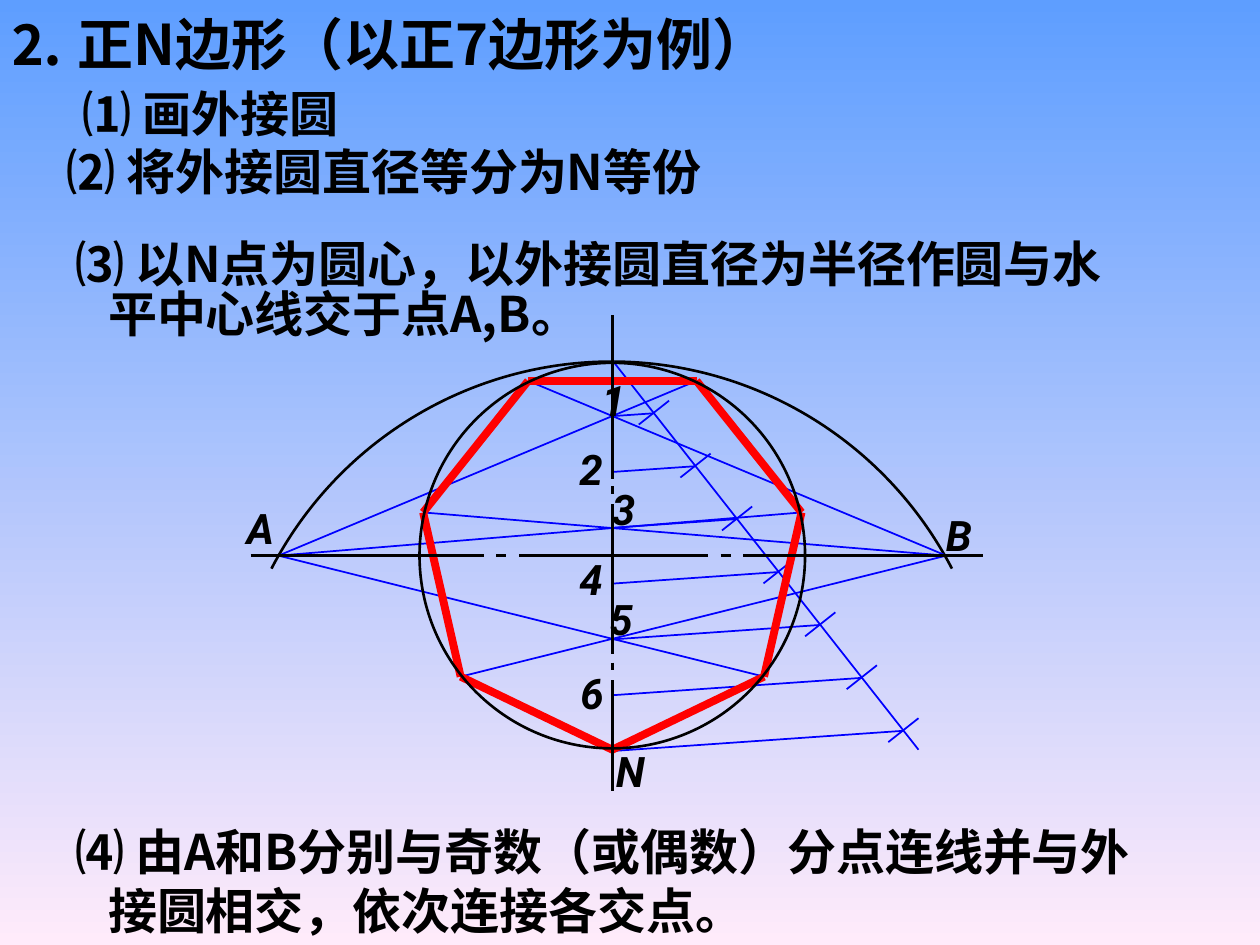
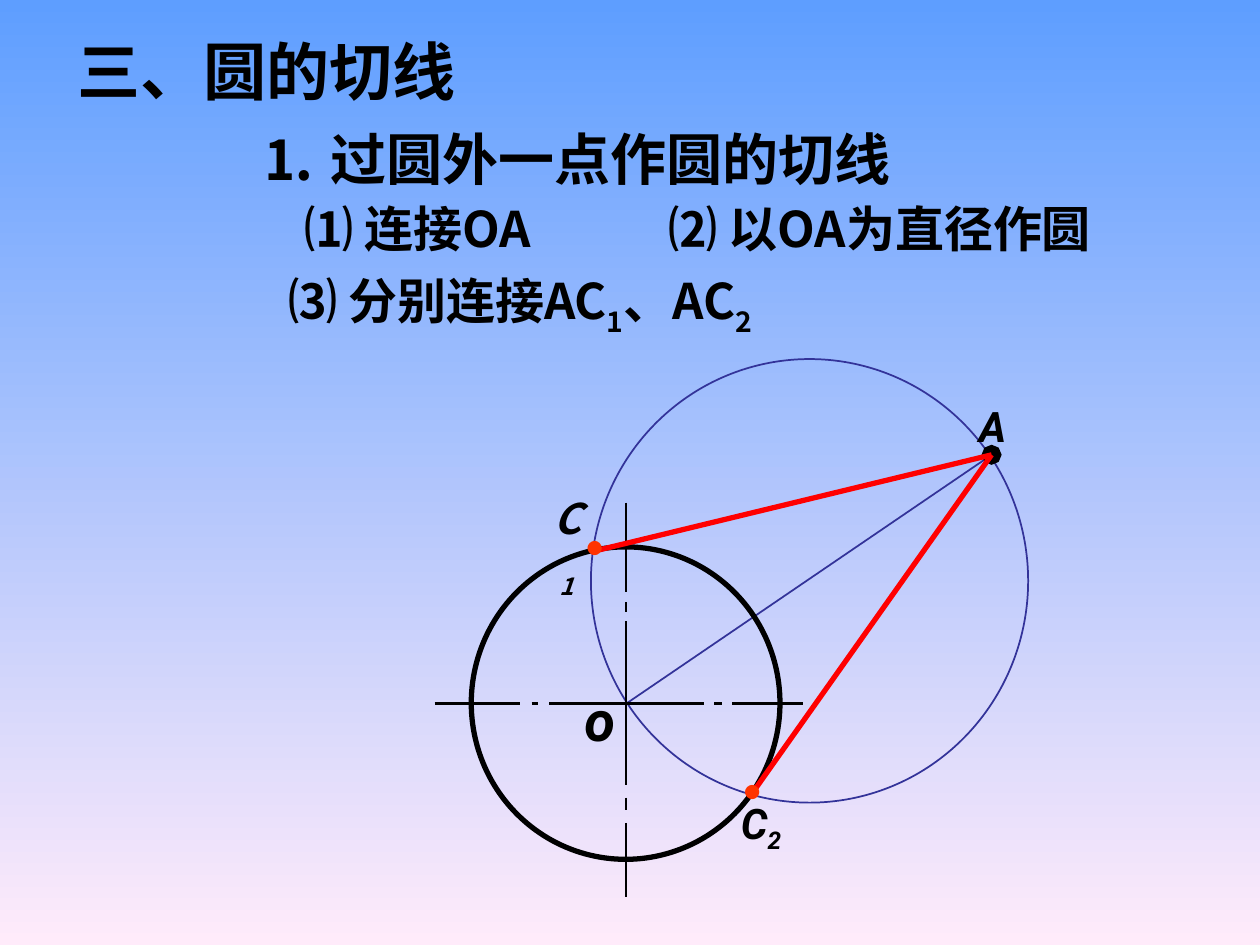
from math import cos, radians, sin

from lxml import etree
from pptx import Presentation
from pptx import util as u
from pptx.dml.color import RGBColor
from pptx.enum import shapes, text
from pptx.oxml.ns import qn

SKY = RGBColor(0x5E, 0x9E, 0xFF)
BLUSH = RGBColor(0xFF, 0xEB, 0xFA)
BLACK = RGBColor(0, 0, 0)
BLUE = RGBColor(0, 0, 0xFF)
INDIGO = RGBColor(0x33, 0x33, 0x99)
RED = RGBColor(0xFF, 0, 0)
ORANGE = RGBColor(0xFF, 0x33, 0)
BODY_FONT = "Noto Sans CJK SC"
LABEL_FONT = "Roboto"
COLUMNS, ROWS = 100, 75


class Drawing:
    """Draws text and geometry on the current slide, on a grid of 100 columns by 75 rows."""

    def __init__(self):
        self.presentation = Presentation()
        self.presentation.slide_width = u.Inches(10)
        self.presentation.slide_height = u.Inches(7.5)
        self.column = self.presentation.slide_width / COLUMNS
        self.row = self.presentation.slide_height / ROWS

    def add_slide(self):
        self.slide = self.presentation.slides.add_slide(self.presentation.slide_layouts[6])
        fill = self.slide.background.fill
        fill.gradient()
        fill.gradient_angle = 270
        for stop, color in zip(fill.gradient_stops, (SKY, BLUSH)):
            stop.color.rgb = color

    def place(self, x, y):
        return round(x * self.column), round(y * self.row)

    def line(self, start, end, color=BLACK, width=1.5):
        connector = self.slide.shapes.add_connector(
            shapes.MSO_CONNECTOR.STRAIGHT, *self.place(*start), *self.place(*end))
        connector.line.color.rgb = color
        connector.line.width = u.Pt(width)
        etree.SubElement(connector._element.spPr, qn("a:effectLst"))

    def horizontal_dashes(self, y, spans):
        for start, end in spans:
            self.line((start, y), (end, y))

    def vertical_dashes(self, x, spans):
        for start, end in spans:
            self.line((x, start), (x, end))

    def outline(self, kind, box, color=BLACK, width=1.5):
        shape = self.slide.shapes.add_shape(kind, *self.place(*box[:2]), *self.place(*box[2:]))
        shape.shadow.inherit = False
        shape.fill.background()
        shape.line.color.rgb = color
        shape.line.width = u.Pt(width)
        return shape

    def ellipse(self, box, color=BLACK, width=1.5):
        self.outline(shapes.MSO_SHAPE.OVAL, box, color, width)

    def arc(self, box, start, end):
        shape = self.outline(shapes.MSO_SHAPE.ARC, box)
        for index, angle in enumerate((start, end)):
            shape.adjustments[index] = angle * 0.6

    def polygon(self, points, color):
        start, *others = [self.place(*point) for point in points]
        builder = self.slide.shapes.build_freeform(*start)
        builder.add_line_segments(others, close=True)
        shape = builder.convert_to_shape()
        shape.shadow.inherit = False
        shape.fill.solid()
        shape.fill.fore_color.rgb = color
        shape.line.fill.background()

    def text(self, paragraphs, box, size=28, font=BODY_FONT, color=BLACK, italic=False,
             align=text.PP_ALIGN.LEFT, anchor=text.MSO_ANCHOR.TOP, wrap=False,
             hanging=0, spacing=None):
        shape = self.slide.shapes.add_textbox(*self.place(*box[:2]), *self.place(*box[2:]))
        frame = shape.text_frame
        frame.word_wrap = wrap
        frame.auto_size = text.MSO_AUTO_SIZE.SHAPE_TO_FIT_TEXT
        frame.vertical_anchor = anchor
        for index, parts in enumerate(paragraphs):
            paragraph = frame.add_paragraph() if index else frame.paragraphs[0]
            paragraph.alignment = align
            if index:
                paragraph.line_spacing = spacing
                paragraph._p.get_or_add_pPr().set("marL", str(self.place(hanging, 0)[0]))
            for position, part in enumerate(parts):
                run = paragraph.add_run()
                run.text = part
                if position % 2:
                    run._r.get_or_add_rPr().set("baseline", "-25000")
            paragraph.font.name = font
            paragraph.font.size = u.Pt(size)
            paragraph.font.bold = True
            paragraph.font.italic = italic
            paragraph.font.color.rgb = color
            defaults = paragraph._p.pPr.find(qn("a:defRPr"))
            etree.SubElement(defaults, qn("a:ea"), typeface=BODY_FONT)

    def label(self, parts, center, top, size=24, width=4, height=5, **style):
        style = {"font": LABEL_FONT, "italic": True, **style}
        self.text([parts], (center - width / 2, top, width, height), size,
                  align=text.PP_ALIGN.CENTER, **style)

    def dot(self, center, top):
        self.label(["●"], center, top, 9, 3.3, 2.5,
                   font=BODY_FONT, color=ORANGE, italic=False)


def draw_heptagon(drawing):
    drawing.add_slide()
    sides, center_x, center_y, radius = 7, 48.6, 44.1, 15.4
    top = 28.6
    point_a, point_b = (22.1, center_y), (75.1, center_y)
    angles = [radians(360 / sides * index) for index in range(sides)]
    vertices = [(center_x + radius * sin(angle), center_y + radius * cos(angle))
                for angle in angles]

    drawing.arc((18.1, 28.7, 60.9, 61.1), 207.6, 332.4)
    for right, left in zip(vertices[1:4], vertices[:3:-1]):
        drawing.line(point_a, right, BLUE, 1)
        drawing.line(point_b, left, BLUE, 1)
    drawing.line((center_x, top), (72.9, 59.5), BLUE, 1)
    for step in range(1, sides + 1):
        x, y = center_x + 3.3 * step, top + 4.2 * step
        drawing.line((center_x, top + 4.43 * step), (x, y), BLUE, 1)
        drawing.line((x + 1.2, y - 1), (x - 1.2, y + 0.9), BLUE, 1)
    for start, end in zip(vertices, vertices[1:] + vertices[:1]):
        drawing.line(start, end, RED, 4.5)

    drawing.vertical_dashes(center_x, [(25, 38), (38.6, 39.2), (40, 51.9), (52.6, 53.2), (54, 62.8)])
    drawing.horizontal_dashes(center_y, [(19.9, 38.4), (39.4, 40.2), (41.2, 56.2), (57.2, 58), (59, 78)])
    drawing.ellipse((33.3, 28.8, 30.6, 30.6))

    middle = text.MSO_ANCHOR.MIDDLE
    drawing.text([["⑴ 画外接圆"]], (5.6, 6.1, 26, 5.7), anchor=middle)
    drawing.text([["⑵ 将外接圆直径等分为N等份"]], (4.3, 10.7, 60, 5.7), anchor=middle)
    drawing.text([["⑶ 以N点为圆心，以外接圆直径为半径作圆与水"], ["平中心线交于点A,B。"]],
                 (5, 18, 92.6, 9.7), anchor=middle, wrap=True, hanging=2.6, spacing=0.85)
    drawing.text([["⑷ 由A和B分别与奇数（或偶数）分点连线并与外"], ["接圆相交，依次连接各交点。"]],
                 (5, 64.7, 97.8, 10.4), anchor=middle, wrap=True, hanging=2.6)
    for name, x, y in [("1", 48.7, 29.2), ("2", 46.9, 34.7), ("3", 49.5, 37.9),
                       ("4", 46.9, 43.4), ("5", 49.3, 46.6), ("6", 47, 52.5),
                       ("N", 49.9, 58.7), ("A", 20.6, 39.4), ("B", 76.1, 39.9)]:
        drawing.label([name], x, y, anchor=middle)
    drawing.text([["⒉ 正N边形（以正7边形为例）"]], (-0.3, 0.2, 74, 6.4), 32, anchor=middle)


def draw_tangents(drawing):
    drawing.add_slide()
    center_x, center_y = 49.7, 55.85
    point_a = (78.7, 36.1)
    drawing.text([["三、圆的切线"]], (5.2, 2.1, 36, 7), 36)
    drawing.text([["⒈ 过圆外一点作圆的切线"]], (19.8, 9.4, 58, 6.4), 32)
    drawing.line((center_x, center_y), point_a, INDIGO, 1)
    drawing.ellipse((46.9, 28.5, 34.7, 35.2), INDIGO, 1)
    drawing.label(["o"], 47.6, 53.9, 32, width=4.6, height=6.4)
    drawing.vertical_dashes(center_x, [(39.9, 47), (47.8, 48.6), (49.3, 62.3), (63.3, 64.3), (65.3, 71.2)])
    drawing.horizontal_dashes(center_y, [(34.5, 41.3), (42.2, 42.7), (43.6, 55.9), (56.7, 57.3), (58.1, 63.7)])
    corners = [radians(45 * index) for index in range(8)]
    drawing.polygon([(point_a[0] + 0.8 * cos(angle), point_a[1] + 0.8 * sin(angle))
                     for angle in corners], BLACK)
    drawing.ellipse((37.4, 43.4, 24.5, 24.8), BLACK, 3)
    drawing.label(["A"], 78.7, 31.3)
    drawing.text([["⑴ 连接OA"]], (23.2, 15.3, 24, 5.7))
    drawing.text([["⑵ 以OA为直径作圆"]], (52.1, 15.3, 41, 5.7))
    drawing.text([["⑶ 分别连接AC", "1", "、AC", "2"]], (21.9, 21, 46, 6.5))
    for tangent_point in [(59.6, 63.1), (46.9, 43.8)]:
        drawing.line(point_a, tangent_point, RED, 3)
    drawing.label(["C", "2"], 60.4, 62.8, width=5.2)
    drawing.dot(59.7, 61.6)
    drawing.label(["C", "1"], 45, 38.6, width=4.8, height=5.6, font=BODY_FONT, wrap=True)
    drawing.dot(47.2, 42.3)


def main():
    drawing = Drawing()
    draw_heptagon(drawing)
    draw_tangents(drawing)
    drawing.presentation.save("out.pptx")


if __name__ == "__main__":
    main()
